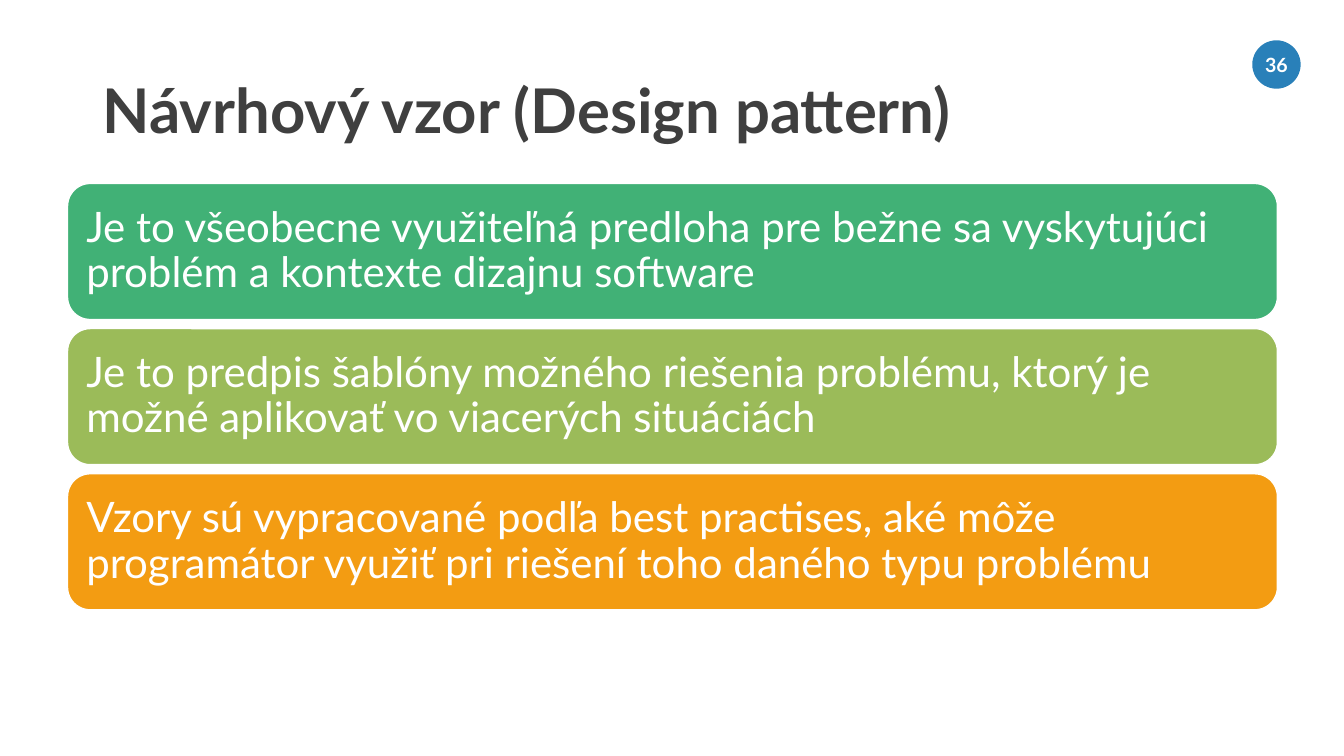
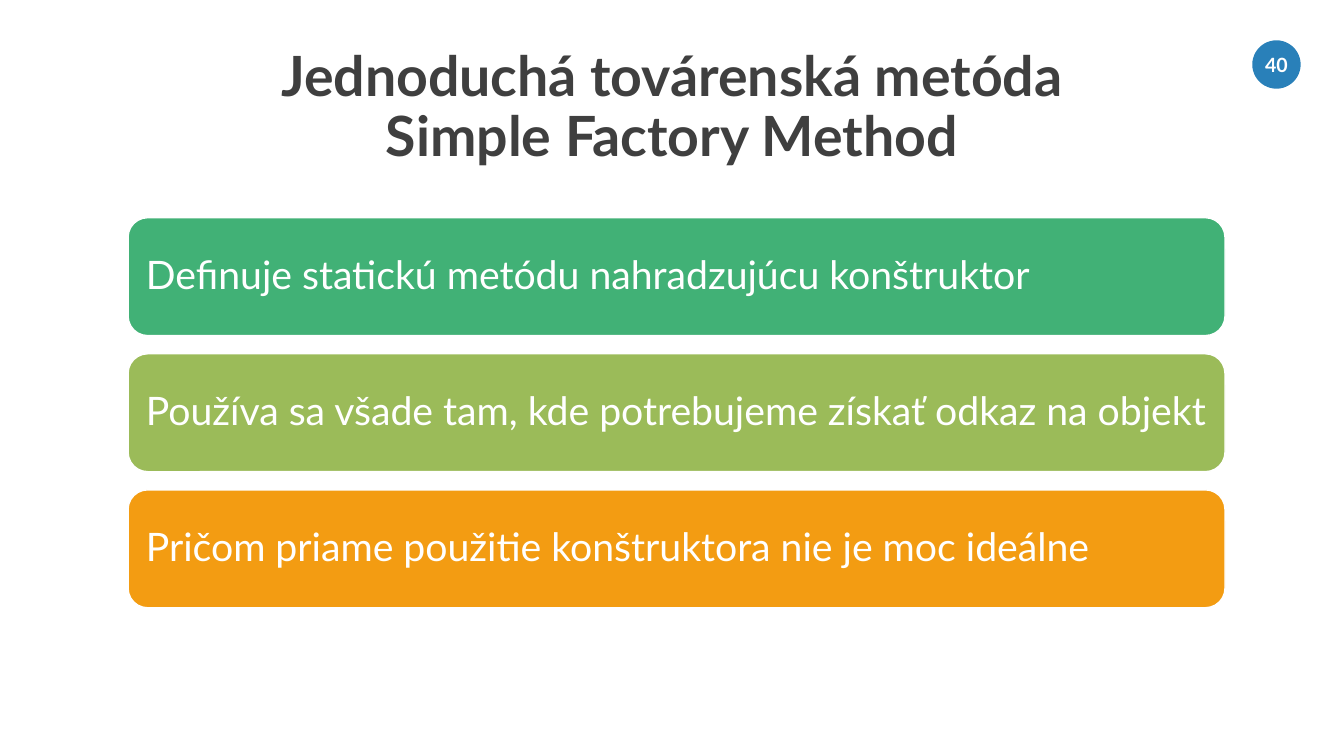
from pptx import Presentation
from pptx.dml.color import RGBColor
from pptx.enum import shapes, text
from pptx.util import Inches, Pt

FONT = "Lato"
WHITE = RGBColor(0xFF, 0xFF, 0xFF)
DARK = RGBColor(0x3F, 0x3F, 0x3F)
BLUE = RGBColor(0x29, 0x80, 0xB9)
GREEN = RGBColor(0x41, 0xB1, 0x76)
OLIVE = RGBColor(0x9B, 0xBB, 0x59)
ORANGE = RGBColor(0xF3, 0x9C, 0x12)
BAND_COLORS = (GREEN, OLIVE, ORANGE)
LEFT, CENTER = text.PP_ALIGN.LEFT, text.PP_ALIGN.CENTER


def write(shape, words, size, color, align=LEFT, bold=False, spacing=0.9):
    frame = shape.text_frame
    frame.word_wrap = True
    frame.vertical_anchor = text.MSO_ANCHOR.MIDDLE
    frame.text = words
    para = frame.paragraphs[0]
    para.alignment = align
    para.line_spacing = spacing
    para.font.name = FONT
    para.font.size = Pt(size)
    para.font.bold = bold
    para.font.color.rgb = color


def set_insets(shape, inset):
    frame = shape.text_frame
    frame.margin_left = frame.margin_right = Inches(inset)
    frame.margin_top = frame.margin_bottom = Inches(inset)


def add_filled(page, preset, left, top, width, height, fill):
    shape = page.shapes.add_shape(
        preset, Inches(left), Inches(top), Inches(width), Inches(height))
    shape.shadow.inherit = False
    shape.fill.solid()
    shape.fill.fore_color.rgb = fill
    return shape


def add_page_number(page, number):
    badge = add_filled(page, shapes.MSO_SHAPE.OVAL, 12.42, 0.4, 0.48, 0.48, BLUE)
    badge.line.fill.background()
    set_insets(badge, 0)
    write(badge, str(number), 14, WHITE, CENTER, bold=True, spacing=1.0)


def add_title(page, words, left, width, height, size, align):
    box = page.shapes.add_textbox(
        Inches(left), Inches(0.4), Inches(width), Inches(height))
    write(box, words, size, DARK, align, bold=True)


def add_bands(page, sentences, left, top, width, height, pitch, size):
    for row, (sentence, fill) in enumerate(zip(sentences, BAND_COLORS)):
        band = add_filled(page, shapes.MSO_SHAPE.ROUNDED_RECTANGLE,
                          left, top + row * pitch, width, height, fill)
        band.line.color.rgb = WHITE
        band.line.width = Pt(1)
        set_insets(band, 0.12)
        write(band, sentence, size, WHITE)


def add_page(deck, number):
    page = deck.slides.add_slide(deck.slide_layouts[6])
    add_page_number(page, number)
    return page


def main():
    deck = Presentation()
    deck.slide_width = Inches(13.33)
    deck.slide_height = Inches(7.5)

    pattern = add_page(deck, 36)
    add_title(pattern, "Návrhový vzor (Design pattern)", 0.92, 11.5, 1.45, 44, LEFT)
    add_bands(pattern, (
        "Je to všeobecne využiteľná predloha pre bežne sa vyskytujúci "
        "problém a kontexte dizajnu software",
        "Je to predpis šablóny možného riešenia problému, ktorý je "
        "možné aplikovať vo viacerých situáciách",
        "Vzory sú vypracované podľa best practises, aké môže "
        "programátor využiť pri riešení toho daného typu problému",
    ), 0.67, 1.82, 12, 1.35, 1.44, 30)

    factory = add_page(deck, 40)
    add_title(factory, "Jednoduchá továrenská metóda\vSimple Factory Method",
              1.86, 9.61, 1.35, 39.6, CENTER)
    add_bands(factory, (
        "Definuje statickú metódu nahradzujúcu konštruktor",
        "Používa sa všade tam, kde potrebujeme získať odkaz na objekt",
        "Pričom priame použitie konštruktora nie je moc ideálne",
    ), 1.27, 2.16, 10.88, 1.17, 1.35, 28)

    deck.save("out.pptx")


if __name__ == "__main__":
    main()
